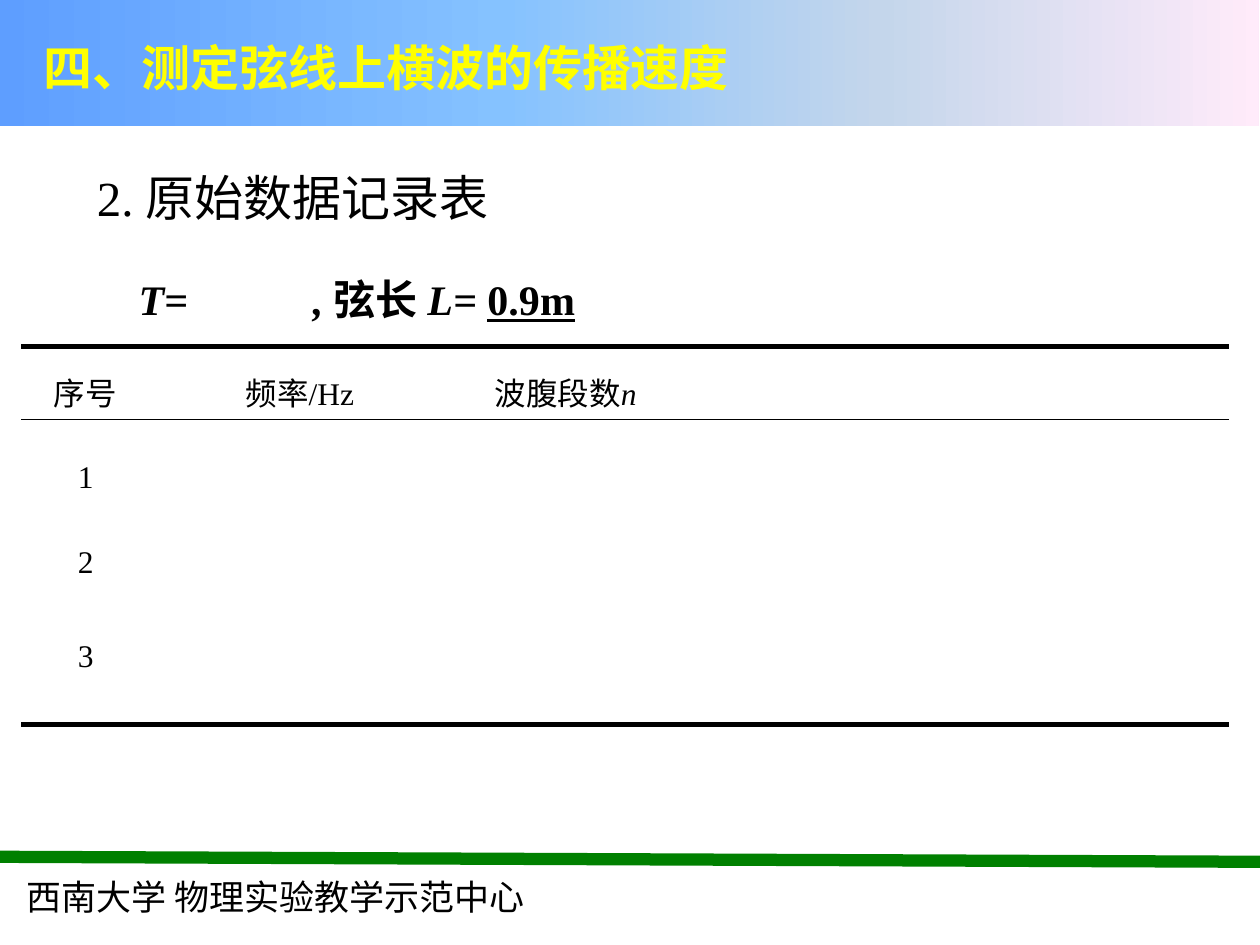
from dataclasses import dataclass

from lxml.etree import SubElement
from pptx import Presentation
from pptx.dml.color import RGBColor
from pptx.enum.shapes import MSO_CONNECTOR, MSO_SHAPE
from pptx.enum.text import MSO_ANCHOR, PP_ALIGN
from pptx.oxml.ns import qn
from pptx.util import Inches, Pt


@dataclass(frozen=True)
class Theme:
    black: str = "000000"
    yellow: str = "FFFF00"
    green: str = "008000"
    banner: tuple = ((0, "5E9EFF"), (40, "85C2FF"), (70, "C4D6EB"), (100, "FFEBFA"))
    serif: str = "Times New Roman"
    sans: str = "Arial"
    chinese: str = "Noto Sans CJK SC"
    heading_size: int = 28
    formula_size: int = 24
    footer_size: int = 20
    table_size: int = 18


class SlideBuilder:
    def __init__(self, slide, theme):
        self.slide = slide
        self.theme = theme

    def gradient_banner(self, left, top, width, height):
        shape = self.slide.shapes.add_shape(
            MSO_SHAPE.RECTANGLE, Inches(left), Inches(top), Inches(width), Inches(height))
        shape.shadow.inherit = False
        shape.line.fill.background()
        shape.fill.gradient()
        shape.fill.gradient_angle = 0
        stops = shape.fill._fill._gradFill.find(qn("a:gsLst"))
        for stop in list(stops):
            stops.remove(stop)
        for percent, color in self.theme.banner:
            stop = SubElement(stops, qn("a:gs"), pos=str(percent * 1000))
            SubElement(stop, qn("a:srgbClr"), val=color)

    def line(self, start, end, color, width):
        connector = self.slide.shapes.add_connector(
            MSO_CONNECTOR.STRAIGHT, *(Inches(value) for value in (*start, *end)))
        connector.line.color.rgb = RGBColor.from_string(color)
        connector.line.width = Pt(width)
        SubElement(connector._element.spPr, qn("a:effectLst"))

    def text(self, box, runs, size, color=None, font=None, align=PP_ALIGN.LEFT,
             anchor=MSO_ANCHOR.TOP, spacing=1.0, inset=0.1, tab=None):
        """Add a one-paragraph box; each run is (text, styles), styles using b, i and u."""
        shape = self.slide.shapes.add_textbox(*(Inches(value) for value in box))
        frame = shape.text_frame
        frame.word_wrap = True
        frame.vertical_anchor = anchor
        frame.margin_left = Inches(inset)
        paragraph = frame.paragraphs[0]
        paragraph.alignment = align
        paragraph.line_spacing = spacing
        if tab:
            tabs = SubElement(paragraph._p.get_or_add_pPr(), qn("a:tabLst"))
            SubElement(tabs, qn("a:tab"), pos=str(Inches(tab)), algn="l")
        for content, styles in runs:
            run = paragraph.add_run()
            run.text = content
            run.font.size = Pt(size)
            run.font.name = font or self.theme.serif
            run.font.color.rgb = RGBColor.from_string(color or self.theme.black)
            run.font.bold = "b" in styles
            run.font.italic = "i" in styles
            run.font.underline = "u" in styles
            SubElement(run._r.get_or_add_rPr(), qn("a:ea"), typeface=self.theme.chinese)

    def table_label(self, left, top, width, runs, align=PP_ALIGN.LEFT):
        self.text((left, top, width, 0.49), runs, self.theme.table_size, align=align)


def main():
    presentation = Presentation()
    presentation.slide_width = Inches(10)
    presentation.slide_height = Inches(7.5)
    theme = Theme()
    slide = presentation.slides.add_slide(presentation.slide_layouts[6])
    builder = SlideBuilder(slide, theme)

    builder.gradient_banner(-0.01, -0.01, 10, 1.01)
    builder.line((0, 6.8), (10.04, 6.84), theme.green, 7)
    builder.text((0.11, 6.83, 5.56, 0.5), [("西南大学 物理实验教学示范中心", "")],
                 theme.footer_size, font=theme.chinese, spacing=1.2)

    builder.text((0.67, 1.33, 3.75, 0.5), [("2. 原始数据记录表", "")],
                 theme.heading_size, spacing=0.9)
    # The underlined tab is the blank to be filled in by hand.
    formula = [("T= ", "bi"), ("\t", "bu"), (" ", "b"), (", ", "bi"),
               ("弦长 ", "b"), ("L= ", "bi"), ("0.9m", "bu")]
    builder.text((0.5, 2.17, 6, 0.33), formula, theme.formula_size,
                 spacing=0.9, inset=0.6, tab=1.3)

    for top, width in ((2.75, 3), (3.33, 1), (5.75, 3)):
        builder.line((0.17, top), (9.75, top), theme.black, width)
    header_top = 2.92
    builder.table_label(0.33, header_top, 0.73, [("序号", "")])
    builder.table_label(1.42, header_top, 1.92, [("频率/Hz", "")], PP_ALIGN.CENTER)
    builder.table_label(3.83, header_top, 1.47, [("波腹段数", ""), ("n", "i")])
    for number, top in enumerate((3.58, 4.25, 5), start=1):
        builder.table_label(0.52, top, 0.73, [(str(number), "")])

    builder.text((0.25, 0.22, 9.17, 0.62), [("四、测定弦线上横波的传播速度", "b")],
                 theme.heading_size, theme.yellow, theme.sans, anchor=MSO_ANCHOR.MIDDLE)
    presentation.save("out.pptx")


if __name__ == "__main__":
    main()
